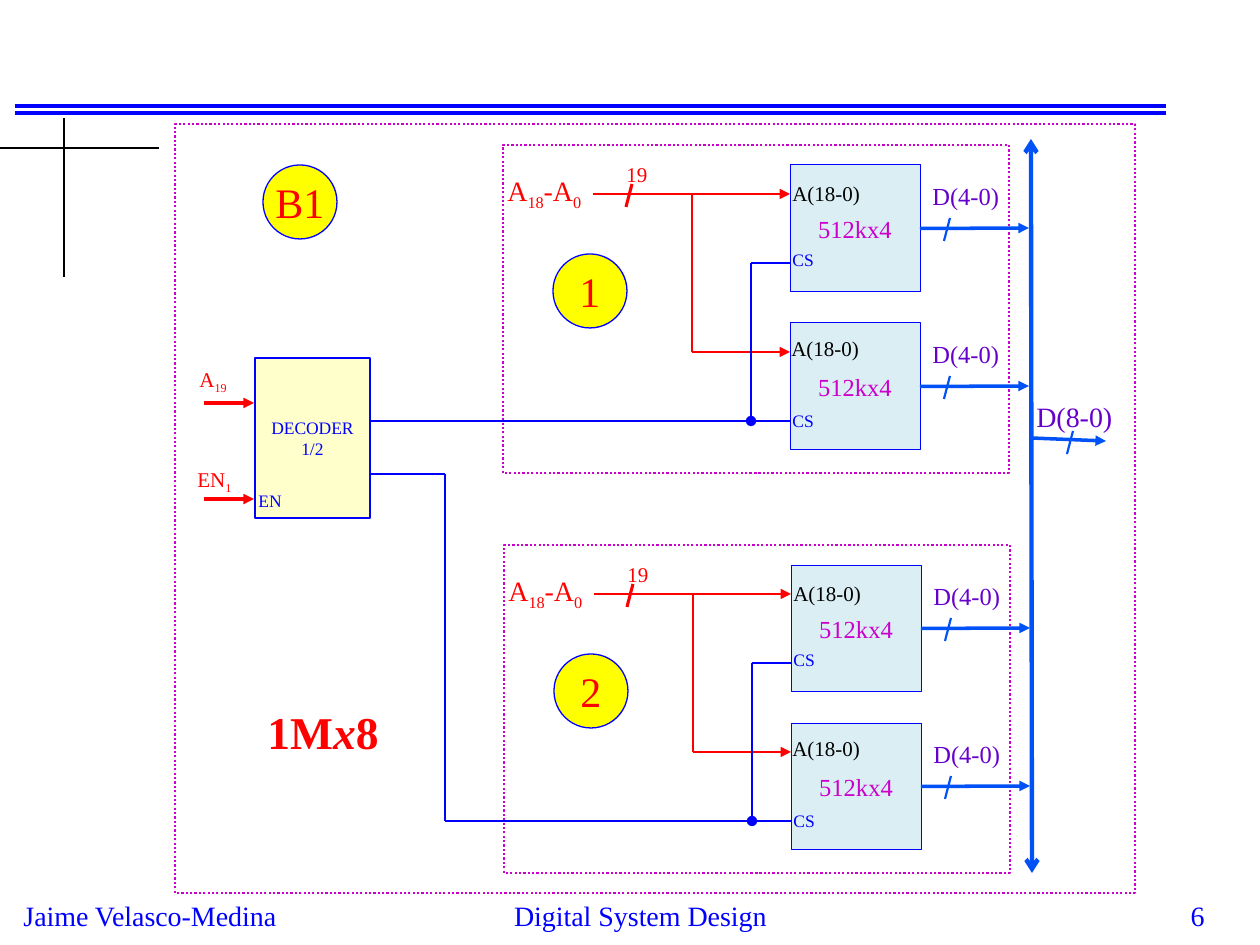
"""Build the slide with the block diagram of a 1Mx8 memory made of two banks."""
from lxml.etree import SubElement
from pptx import Presentation
from pptx.dml.color import RGBColor
from pptx.enum.dml import MSO_LINE_DASH_STYLE as Dash
from pptx.enum.shapes import MSO_CONNECTOR_TYPE as Connector, MSO_SHAPE as Shape
from pptx.enum.text import MSO_ANCHOR as Anchor, PP_ALIGN as Align
from pptx.oxml.ns import qn
from pptx.util import Pt

PX = 914400 / 126
FONT = "Times New Roman"
COLORS = {
    "blue": "0000FF", "red": "FF0000", "bus": "0052F6", "purple": "6600CC",
    "magenta": "CC00CC", "black": "000000", "yellow": "FFFF00",
    "cream": "FFFFCC", "chip": "DBEEF4",
}
ADDRESS = [("A", ""), ("18", "sub"), ("-A", ""), ("0", "sub")]


def px(*lengths):
    """Turn pixel lengths into EMU."""
    return [round(length * PX) for length in lengths]


def rgb(name):
    """Look up a colour by name."""
    return RGBColor.from_string(COLORS[name])


def write(frame, spans, size, color, align=Align.LEFT, bold=False):
    """Write one paragraph from a string or from (text, style) spans."""
    para = frame.paragraphs[0]
    para.alignment = align
    font = para.font
    font.name, font.size, font.bold = FONT, Pt(size), bold
    font.color.rgb = rgb(color)
    for text, style in [(spans, "")] if isinstance(spans, str) else spans:
        span = para.add_run()
        span.text = text
        if style == "sub":
            span.font._element.set("baseline", "-25000")
        elif style == "italic":
            span.font.italic = True


def add_label(slide, at, spans, size, color, align=Align.LEFT, bold=False):
    """Add a wrapped text box."""
    box = slide.shapes.add_textbox(*px(*at))
    box.text_frame.word_wrap = True
    write(box.text_frame, spans, size, color, align, bold)


def add_wire(slide, start, end, color, width, head=None, tail=None):
    """Add a straight line with optional ends."""
    wire = slide.shapes.add_connector(Connector.STRAIGHT, *px(*start, *end))
    wire.line.color.rgb = rgb(color)
    wire.line.width = Pt(width)
    line = wire.line._get_or_add_ln()
    for tag, kind in (("a:headEnd", head), ("a:tailEnd", tail)):
        if kind:
            SubElement(line, qn(tag)).set("type", kind)
    SubElement(wire._element.spPr, qn("a:effectLst"))
    return wire


def add_block(slide, kind, at, fill, line, width):
    """Add a flat outlined shape, unfilled when fill is None."""
    block = slide.shapes.add_shape(kind, *px(*at))
    block.shadow.inherit = False
    if fill:
        block.fill.solid()
        block.fill.fore_color.rgb = rgb(fill)
    else:
        block.fill.background()
    block.line.color.rgb = rgb(line)
    block.line.width = Pt(width)
    block.text_frame.vertical_anchor = Anchor.MIDDLE
    return block


def add_frame(slide, at):
    """Add a dotted group outline."""
    frame = add_block(slide, Shape.RECTANGLE, at, None, "magenta", 1.25)
    frame.line.dash_style = Dash.ROUND_DOT


def add_badge(slide, left, top, text):
    """Add a yellow circle with a short name."""
    badge = add_block(slide, Shape.OVAL, (left, top, 74, 74), "yellow", "blue", 0.75)
    badge.text_frame.word_wrap = False
    write(badge.text_frame, text, 24, "red", Align.CENTER)


def add_slash(slide, left, top, color, width):
    """Add the slanted bus-width mark."""
    add_wire(slide, (left, top + 23), (left + 6, top), color, width)


def add_chip(slide, left, top, address_at, select_at):
    """Add a memory chip with its pins, address arrow and data arrow."""
    chip = add_block(slide, Shape.RECTANGLE, (left, top, 130, 127), "chip", "blue", 0.5)
    write(chip.text_frame, "512kx4", 14, "magenta", Align.CENTER)
    add_label(slide, (*address_at, 98, 38), "A(18-0)", 12, "black")
    add_label(slide, (left - 10, select_at, 54, 34), "CS", 10, "blue")
    add_label(slide, (left + 130, top + 10, 98, 43), "D(4-0)", 14, "purple")
    data = add_wire(slide, (left + 130, top + 63), (left + 239, top + 63),
                    "bus", 2, tail="triangle")
    data.begin_connect(chip, 3)
    add_slash(slide, left + 154, top + 53, "bus", 1.25)
    add_wire(slide, (left - 98, top + 29), (left, top + 29), "red", 1.25, tail="triangle")
    add_wire(slide, (left - 39, top + 98), (left, top + 98), "blue", 0.75)


def add_bank(slide, dx, dy, name):
    """Add a bank of two chips that share address and select lines."""
    left, top = 790 + dx, 165 + dy
    add_frame(slide, (503 + dx, 145 + dy, 506, 328))
    add_chip(slide, left, top, (left - 10, top + 9), top + 78)
    add_chip(slide, left, top + 158, (left - 11, top + 164), top + 239)
    add_label(slide, (495 + dx, 167 + dy, 125, 52), ADDRESS, 16, "red")
    add_label(slide, (614 + dx, 155 + dy, 49, 63), "19", 12, "red")
    add_slash(slide, 626 + dx, 184 + dy, "red", 1.75)
    add_wire(slide, (593 + dx, top + 29), (left - 98, top + 29), "red", 1.25)
    add_wire(slide, (left - 98, top + 187), (left - 98, top + 29), "red", 1.25)
    add_wire(slide, (left - 39, top + 98), (left - 39, top + 256), "blue", 0.75)
    add_badge(slide, 553 + dx, 254 + dy, name)


def add_decoder(slide):
    """Add the decoder with its inputs and select outputs."""
    add_wire(slide, (751, 421), (370, 421), "blue", 0.75, head="oval")
    add_wire(slide, (370, 474), (445, 474), "blue", 0.75)
    add_wire(slide, (445, 474), (445, 821), "blue", 0.75)
    add_wire(slide, (752, 821), (445, 821), "blue", 0.75, head="oval")
    decoder = add_block(slide, Shape.RECTANGLE, (255, 358, 115, 160), "cream", "blue", 1.25)
    write(decoder.text_frame, "DECODER 1/2", 10, "blue", Align.CENTER)
    add_label(slide, (246, 484, 54, 34), "EN", 10, "blue")
    for name, index, left, top, wire in (("A", "19", 187, 360, 403), ("EN", "1", 185, 460, 499)):
        add_label(slide, (left, top, 66, 42), [(name, ""), (index, "sub")], 12, "red")
        add_wire(slide, (204, wire), (254, wire), "red", 2, tail="triangle")


def add_bus(slide):
    """Add the data bus and its output."""
    add_wire(slide, (1031, 139), (1032, 873), "bus", 2.5, head="arrow", tail="arrow")
    add_wire(slide, (1031, 438), (1106, 441), "bus", 2, tail="triangle")
    add_slash(slide, 1067, 431, "bus", 1.25)
    add_label(slide, (1024, 393, 112, 47), "D(8-0)", 16, "purple")


def add_page_furniture(slide):
    """Add the header rules, the corner cross and the footer."""
    for top in (106, 113):
        add_wire(slide, (15, top), (1166, top), "blue", 2.25)
    add_wire(slide, (0, 148), (159, 148), "black", 0.75)
    add_wire(slide, (64, 118), (64, 277), "black", 0.75)
    for left, width, text, align in (
        (11, 282, "Jaime Velasco-Medina", Align.LEFT),
        (420, 441, "Digital System Design", Align.CENTER),
        (955, 262, "6", Align.RIGHT),
    ):
        add_label(slide, (left, 892, width, 46), text, 16, "blue", align)


def main():
    """Build and save the deck."""
    deck = Presentation()
    deck.slide_width, deck.slide_height = px(1260, 945)
    page = deck.slides.add_slide(deck.slide_layouts[6])
    add_page_furniture(page)
    add_bank(page, 0, 0, "1")
    add_bus(page)
    add_bank(page, 1, 400, "2")
    add_decoder(page)
    add_frame(page, (175, 124, 960, 769))
    add_badge(page, 263, 165, "B1")
    add_label(page, (255, 698, 146, 68), [("1M", ""), ("x", "italic"), ("8", "")],
              26, "red", bold=True)
    deck.save("out.pptx")


if __name__ == "__main__":
    main()
